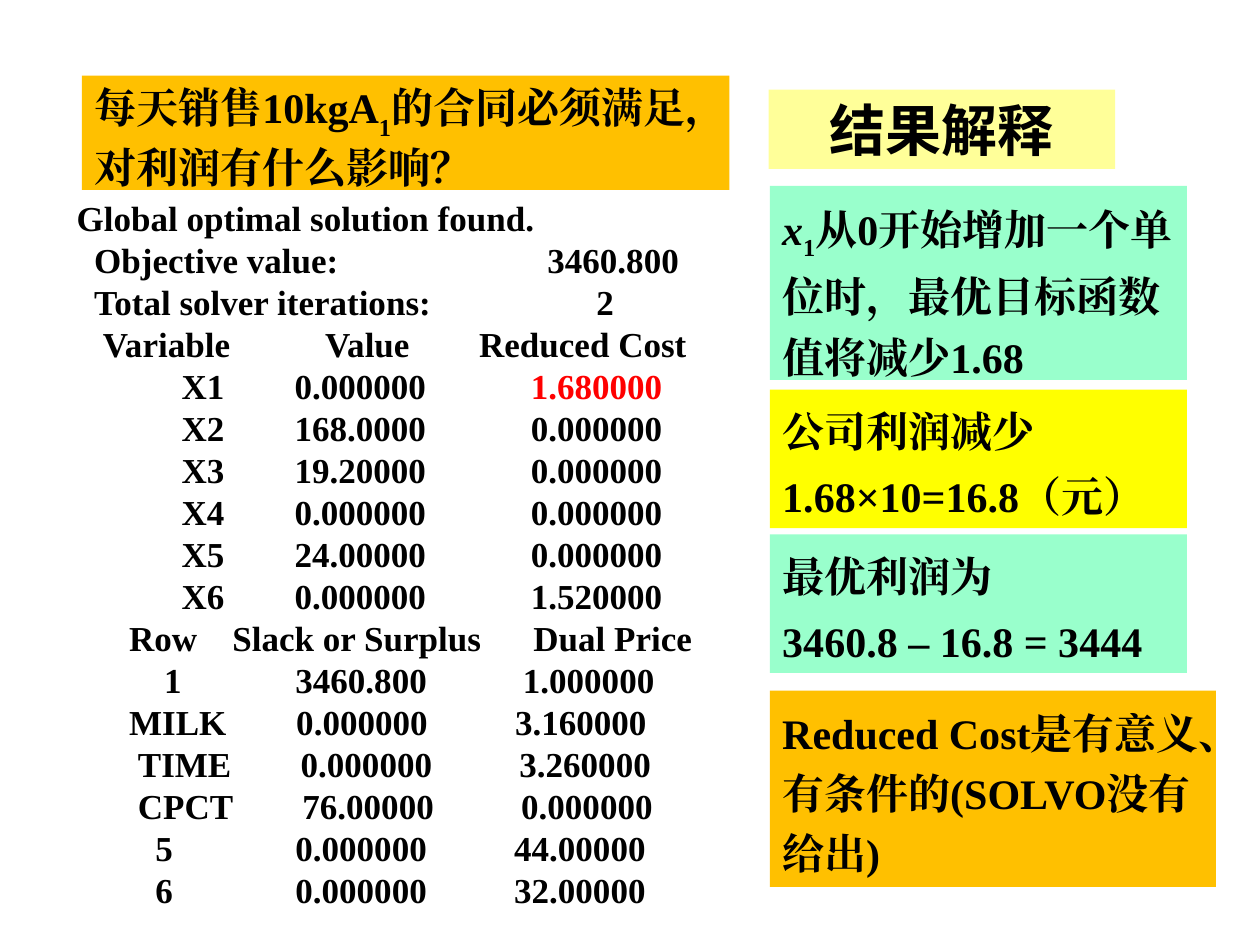
import pptx
import pptx.util
import pptx.dml.color
import pptx.enum.shapes
import pptx.enum.text
from pptx.oxml import ns
from lxml import etree

Pt = pptx.util.Pt
COLORS = {
    "ink": "000000", "alert": "FF0000", "paper": "FFFFFF", "cream": "FFFF99",
    "mint": "99FFCC", "amber": "FFC000", "yellow": "FFFF00",
}
SERIF = "Times New Roman"
SANS = "Noto Sans CJK SC"


def rgb(name):
    return pptx.dml.color.RGBColor.from_string(COLORS[name])


def add_text(paragraph, text, size=24, font=SERIF, color="ink", italic=False, baseline=0):
    """Append a bold run; baseline is a percentage, negative for a subscript."""
    run = paragraph.add_run()
    run.text = text
    run.font.size = Pt(size)
    run.font.name = font
    run.font.bold = True
    run.font.italic = italic
    run.font.color.rgb = rgb(color)
    properties = run.font._element
    if baseline:
        properties.set("baseline", str(baseline * 1000))
    etree.SubElement(properties, ns.qn("a:ea"), typeface=font)


class SlideBuilder:
    def __init__(self, slide):
        self.slide = slide

    def box(self, left, top, width, height, fill):
        panel = self.slide.shapes.add_shape(
            pptx.enum.shapes.MSO_SHAPE.RECTANGLE, Pt(left), Pt(top), Pt(width), Pt(height))
        panel.shadow.inherit = False
        panel.fill.solid()
        panel.fill.fore_color.rgb = rgb(fill)
        panel.line.fill.background()
        frame = panel.text_frame
        frame.word_wrap = True
        frame.vertical_anchor = pptx.enum.text.MSO_ANCHOR.TOP
        return frame

    def note(self, bounds, fill, lines, align="LEFT", spacing=None, gap=0, **style):
        """Each line is a list of (text, format) pairs."""
        frame = self.box(*bounds, fill)
        for index, line in enumerate(lines):
            paragraph = frame.add_paragraph() if index else frame.paragraphs[0]
            paragraph.alignment = getattr(pptx.enum.text.PP_ALIGN, align)
            paragraph.line_spacing = spacing
            if index:
                paragraph.space_before = Pt(gap)
            for text, run_format in line:
                add_text(paragraph, text, **{**style, **run_format})

    def report(self, bounds, rows):
        """Each row is (tab stops, cells); a cell is text or (text, colour)."""
        frame = self.box(*bounds, "paper")
        for index, (stops, cells) in enumerate(rows):
            paragraph = frame.add_paragraph() if index else frame.paragraphs[0]
            paragraph.alignment = pptx.enum.text.PP_ALIGN.LEFT
            paragraph.line_spacing = Pt(24)
            if stops:
                properties = paragraph._p.get_or_add_pPr()
                tabs = etree.SubElement(properties, ns.qn("a:tabLst"))
                for stop in stops:
                    etree.SubElement(tabs, ns.qn("a:tab"), pos=str(int(Pt(stop))), algn="l")
            for cell in cells:
                text, color = cell if isinstance(cell, tuple) else (cell, "ink")
                add_text(paragraph, "\t" + text if stops else text, size=20, color=color)


def main():
    deck = pptx.Presentation()
    deck.slide_width, deck.slide_height = Pt(720), Pt(540)
    builder = SlideBuilder(deck.slides.add_slide(deck.slide_layouts[6]))

    builder.note((439.2, 51.2, 198, 45.4), "cream", [[("结果解释", {})]],
                 align="CENTER", size=32, font=SANS)

    explanations = [
        (106.2, 238.3, 110.9, "mint", [[
            ("x", {"italic": True}), ("1", {"baseline": -25}),
            ("从0开始增加一个单位时，最优目标函数值将减少1.68", {})]]),
        (222.7, 238.3, 79.2, "yellow", [[("公司利润减少", {})], [("1.68×10=16.8（元）", {})]]),
        (305.4, 238.3, 79.2, "mint", [[("最优利润为", {})], [("3460.8 – 16.8 = 3444", {})]]),
        (394.7, 254.9, 112.1, "amber", [[("Reduced Cost是有意义、有条件的(SOLVO没有给出)", {})]]),
    ]
    for top, width, height, fill, lines in explanations:
        builder.note((439.9, top, width, height), fill, lines, spacing=1.2, gap=2.4)

    builder.note((46.8, 43.2, 370.1, 65.5), "amber", [
        [("每天销售10kgA", {}), ("1", {"baseline": -30}), ("的合同必须满足，", {})],
        [("对利润有什么影响？", {})]])

    variables = [
        ("X1", "0.000000", ("1.680000", "alert")),
        ("X2", "168.0000", "0.000000"),
        ("X3", "19.20000", "0.000000"),
        ("X4", "0.000000", "0.000000"),
        ("X5", "24.00000", "0.000000"),
        ("X6", "0.000000", "1.520000"),
    ]
    builder.report((36.7, 108.7, 387.4, 415.4), [
        ((), ["Global optimal solution found."]),
        ((10, 269), ["Objective value:", "3460.800"]),
        ((10, 297), ["Total solver iterations:", "2"]),
        ((15, 142, 230), ["Variable", "Value", "Reduced Cost"]),
        *[((60, 124.5, 259.5), cells) for cells in variables],
        ((30, 89, 261), ["Row", "Slack or Surplus", "Dual Price"]),
        ((50, 125, 255), ["1", "3460.800", "1.000000"]),
        ((30, 125.5, 250.5), ["MILK", "0.000000", "3.160000"]),
        ((35, 128, 253), ["TIME", "0.000000", "3.260000"]),
        ((35, 129, 254), ["CPCT", "76.00000", "0.000000"]),
        ((45, 125, 250), ["5", "0.000000", "44.00000"]),
        ((45, 125, 250), ["6", "0.000000", "32.00000"]),
    ])
    deck.save("out.pptx")


if __name__ == "__main__":
    main()
